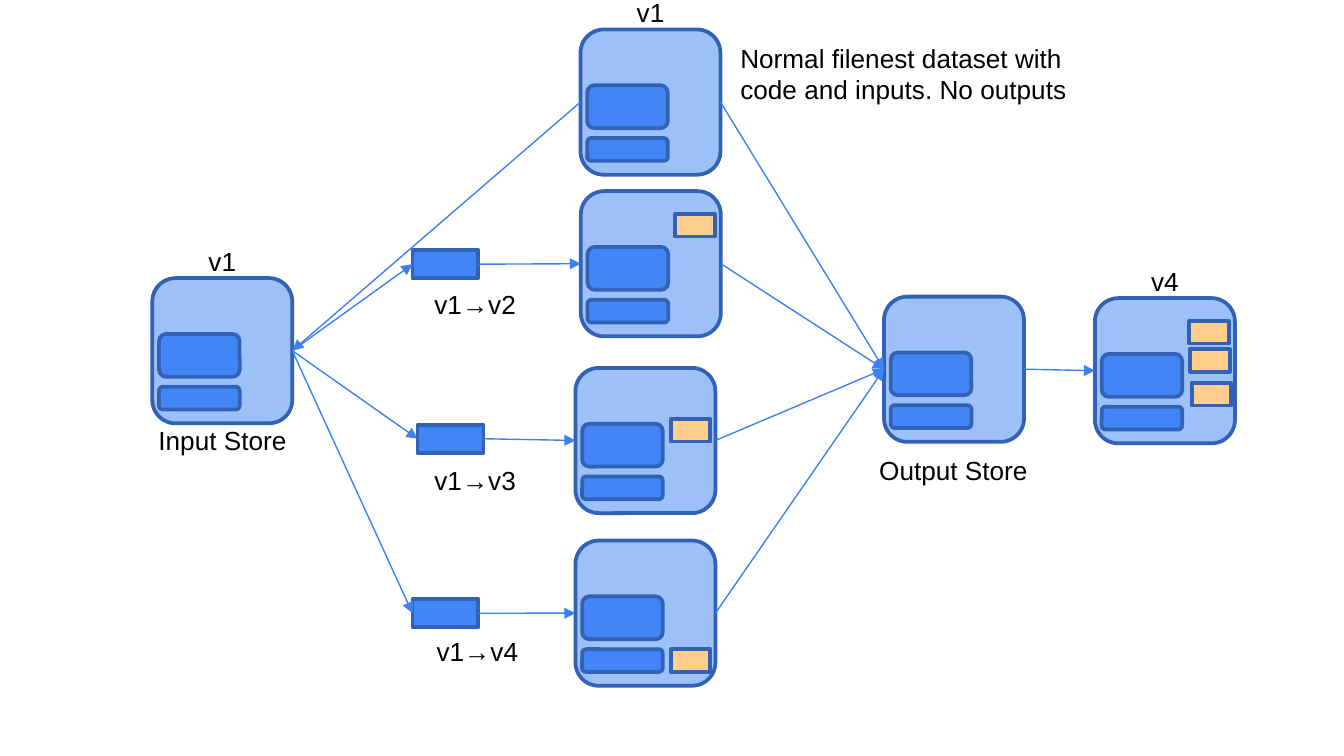
from pptx import Presentation
from pptx.dml.color import RGBColor
from pptx.enum.shapes import MSO_CONNECTOR, MSO_SHAPE
from pptx.enum.text import MSO_AUTO_SIZE
from pptx.oxml.ns import qn
from pptx.util import Pt
from lxml import etree

RECT = MSO_SHAPE.RECTANGLE
ROUNDED = MSO_SHAPE.ROUNDED_RECTANGLE
STRAIGHT = MSO_CONNECTOR.STRAIGHT
FIT_SHAPE = MSO_AUTO_SIZE.SHAPE_TO_FIT_TEXT

BLUE = RGBColor(0x42, 0x85, 0xF4)
DARK_BLUE = RGBColor(0x31, 0x62, 0xB5)
ARROW_BLUE = RGBColor(0x3C, 0x81, 0xF3)
ORANGE = RGBColor(0xFF, 0xCD, 0x8C)
BLACK = RGBColor(0, 0, 0)

# Connection sites of rectangles
LEFT, RIGHT = 1, 3

# Outputs lie in a column at the right of a dataset: (x, y) from its corner
FIRST_OUTPUT, SECOND_OUTPUT = (50.5, 12.2), (51, 27.3)
THIRD_OUTPUT, LAST_OUTPUT = (51.8, 45.4), (51, 58.2)


def add_box(shapes, kind, x, y, width, height, color, opacity=None):
    box = shapes.add_shape(kind, Pt(x), Pt(y), Pt(width), Pt(height))
    box.shadow.inherit = False
    box.fill.solid()
    box.fill.fore_color.rgb = color
    box.line.color.rgb = DARK_BLUE
    box.line.width = Pt(2)
    if opacity is not None:
        srgb = box._element.spPr.find(qn("a:solidFill")).find(qn("a:srgbClr"))
        etree.SubElement(srgb, qn("a:alpha"), val=str(opacity * 1000))
    return box


def add_label(shapes, x, y, width, *lines):
    label = shapes.add_textbox(Pt(x), Pt(y), Pt(width), Pt(7.7 + 16.8 * len(lines)))
    frame = label.text_frame
    frame.word_wrap = False
    frame.auto_size = FIT_SHAPE
    frame.text = "\n".join(lines)
    for paragraph in frame.paragraphs:
        paragraph.font.name = "Arial"
        paragraph.font.size = Pt(14)
        paragraph.font.color.rgb = BLACK


def add_dataset(slide, x, y, outputs=(), version=None):
    """Group a dataset with its code, inputs, outputs and version; return its frame."""
    shapes = slide.shapes.add_group_shape().shapes
    dataset = add_box(shapes, ROUNDED, x, y, 75, 77.8, BLUE, opacity=51)
    add_box(shapes, ROUNDED, x + 3.6, y + 29.9, 43.2, 23, BLUE)
    add_box(shapes, ROUNDED, x + 3.6, y + 58.2, 43.2, 12.2, BLUE)
    for dx, dy in outputs:
        add_box(shapes, RECT, x + dx, y + dy, 21.3, 12.2, ORANGE)
    if version:
        add_label(shapes, x + 23, y - 21.2, 29.5, version)
    return dataset


def add_arrow(slide, source, target, start=RIGHT, end=LEFT):
    arrow = slide.shapes.add_connector(STRAIGHT, 0, 0, 0, 0)
    arrow.begin_connect(source, start)
    arrow.end_connect(target, end)
    arrow.line.color.rgb = ARROW_BLUE
    arrow.line.width = Pt(0.75)
    outline = arrow._element.spPr.find(qn("a:ln"))
    etree.SubElement(outline, qn("a:tailEnd"), type="triangle")
    etree.SubElement(arrow._element.spPr, qn("a:effectLst"))


def main():
    deck = Presentation()
    deck.slide_width, deck.slide_height = Pt(720), Pt(405)
    slide = deck.slides.add_slide(deck.slide_layouts[6])

    # Stores, starting dataset and merged result
    clean = add_dataset(slide, 311, 15.8, version="v1")
    input_store = add_dataset(slide, 81.6, 149, version="v1")
    output_store = add_dataset(slide, 473.6, 158.9)
    merged = add_dataset(slide, 586.6, 159.7, version="v4",
                         outputs=(FIRST_OUTPUT, SECOND_OUTPUT, THIRD_OUTPUT))
    add_label(slide.shapes, 77.8, 223.9, 83.5, "Input Store")
    add_label(slide.shapes, 463.9, 239.8, 94.3, "Output Store")
    add_label(slide.shapes, 389.5, 18.9, 189.4,
              "Normal filenest dataset with", "code and inputs. No outputs")

    # Parallel jobs: version, job x, label corner, dataset corner, output
    jobs = [
        ("v2", 221, (225.6, 150.8), (311.2, 102.4), FIRST_OUTPUT),
        ("v3", 223.7, (225.6, 245.5), (308.3, 197.1), SECOND_OUTPUT),
        ("v4", 221, (226.8, 337), (308.3, 289.6), LAST_OUTPUT),
    ]
    for row, (version, job_x, label_at, dataset_at, output) in enumerate(jobs):
        job = add_box(slide.shapes, RECT, job_x, 134 + 93.5 * row, 35.3, 15.1, BLUE)
        add_label(slide.shapes, *label_at, 58.3, f"v1→{version}")
        branch = add_dataset(slide, *dataset_at, outputs=[output])
        add_arrow(slide, input_store, job)
        add_arrow(slide, job, branch)
        add_arrow(slide, branch, output_store)

    # Links of the starting dataset and the result
    add_arrow(slide, clean, input_store, start=LEFT, end=RIGHT)
    add_arrow(slide, clean, output_store)
    add_arrow(slide, output_store, merged)

    deck.save("out.pptx")


if __name__ == "__main__":
    main()
